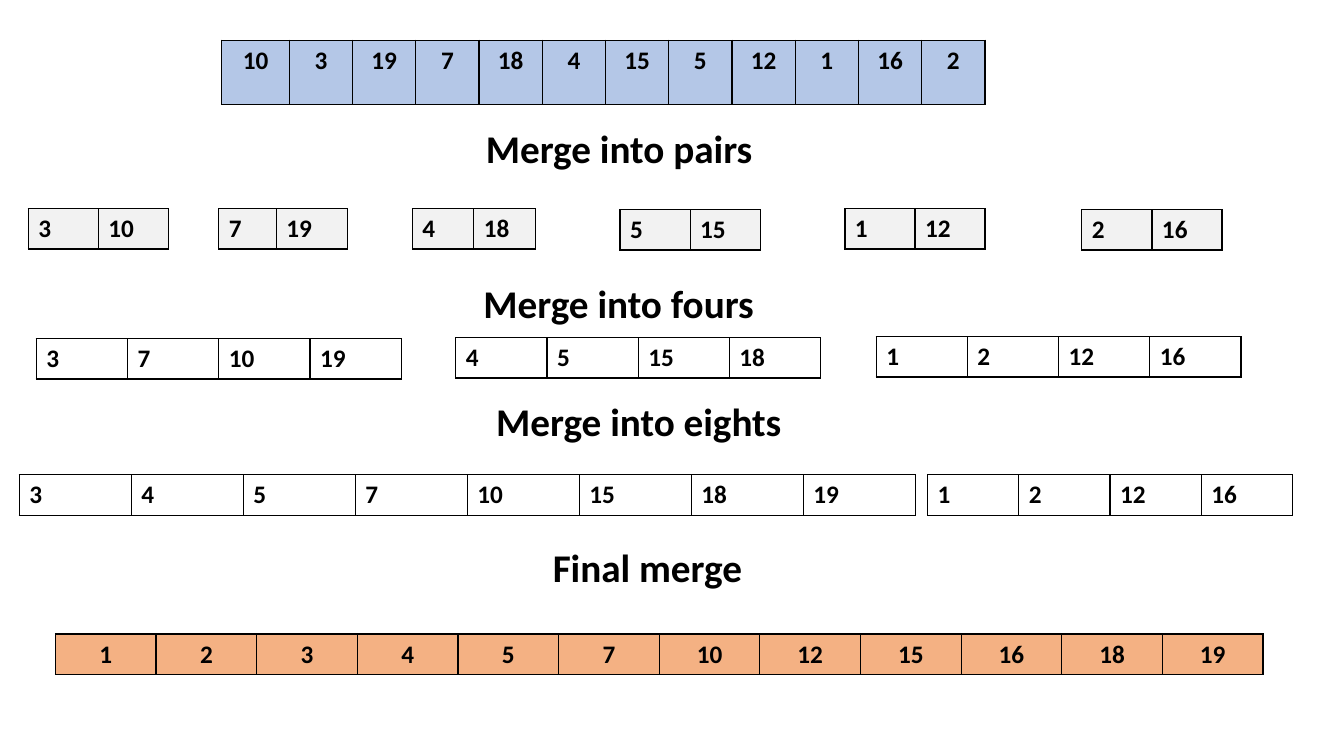
import pptx
import pptx.dml.color
import pptx.enum.text
import pptx.oxml
import pptx.oxml.ns
import pptx.util
from pptx.util import Inches

COLORS = {"text": "000000", "border": "000000", "input": "B4C7E7",
          "pair": "F2F2F2", "run": "FFFFFF", "sorted": "F4B183"}
FONT = "Calibri"
CENTER = pptx.enum.text.PP_ALIGN.CENTER
LEFT = pptx.enum.text.PP_ALIGN.LEFT

NUMBERS = [10, 3, 19, 7, 18, 4, 15, 5, 12, 1, 16, 2]
ROW_HEIGHT = 0.4

# Each box is left, top, width, height; the last item is the first column's width.
PAIR_BOXES = [((0.28, 2.07, 1.39, ROW_HEIGHT), None),
              ((2.17, 2.07, 1.28, ROW_HEIGHT), 0.57),
              ((4.09, 2.07, 1.22, ROW_HEIGHT), None),
              ((6.15, 2.08, 1.39, ROW_HEIGHT), None),
              ((8.38, 2.07, 1.39, ROW_HEIGHT), None),
              ((10.73, 2.08, 1.39, ROW_HEIGHT), None)]
FOUR_BOXES = [((0.36, 3.36, 3.62, ROW_HEIGHT), None),
              ((4.52, 3.35, 3.62, ROW_HEIGHT), None),
              ((8.69, 3.34, 3.62, ROW_HEIGHT), None)]
EIGHT_BOXES = [((0.19, 4.71, 8.89, ROW_HEIGHT), None),
               ((9.2, 4.71, 3.62, ROW_HEIGHT), None)]
HEADINGS = [("Merge into pairs", (1.42, 1.18, 9.44, 0.57)),
            ("Merge into fours", (1.79, 2.72, 8.69, 0.57)),
            ("Merge into eights", (1.99, 3.89, 8.69, 0.57)),
            ("Final merge ", (3.16, 5.34, 6.61, 0.57))]


def rgb(name):
    return pptx.dml.color.RGBColor.from_string(COLORS[name])


def write(tf, text, size, align):
    tf.text = text
    p = tf.paragraphs[0]
    p.alignment = align
    font = p.runs[0].font
    font.name = FONT
    font.size = pptx.util.Pt(size)
    font.bold = True
    font.color.rgb = rgb("text")


def add_borders(cell):
    tcPr = cell._tc.get_or_add_tcPr()
    for side in ("lnL", "lnR", "lnT", "lnB"):
        tcPr.append(pptx.oxml.parse_xml(
            f'<a:{side} {pptx.oxml.ns.nsdecls("a")} w="{pptx.util.Pt(1)}">'
            f'<a:solidFill><a:srgbClr val="{COLORS["border"]}"/></a:solidFill>'
            f'</a:{side}>'))


def add_array(s, box, values, fill, align=LEFT, first_width=None):
    """Draw values as a one-row table with equal columns after the first."""
    width = box[2]
    first = first_width or width / len(values)
    other = (width - first) / (len(values) - 1)
    table = s.shapes.add_table(1, len(values), *map(Inches, box)).table
    table.first_row = False
    table.horz_banding = False
    for i, value in enumerate(values):
        table.columns[i].width = Inches(other if i else first)
        cell = table.cell(0, i)
        write(cell.text_frame, str(value), 18, align)
        add_borders(cell)
        cell.fill.solid()
        cell.fill.fore_color.rgb = rgb(fill)


def add_merge_level(s, boxes, size, fill):
    """Draw the sorted runs of the given size, one in each box."""
    for i, (box, first_width) in enumerate(boxes):
        values = sorted(NUMBERS[i * size:(i + 1) * size])
        add_array(s, box, values, fill, first_width=first_width)


def add_heading(s, text, box):
    tf = s.shapes.add_textbox(*map(Inches, box)).text_frame
    tf.word_wrap = True
    write(tf, text, 28, CENTER)


def main():
    prs = pptx.Presentation()
    prs.slide_width = Inches(13.33)
    prs.slide_height = Inches(7.5)
    s = prs.slides.add_slide(prs.slide_layouts[6])

    add_array(s, (2.2, 0.4, 7.57, 0.64), NUMBERS, "input", CENTER, 0.67)
    for text, box in HEADINGS:
        add_heading(s, text, box)
    add_merge_level(s, PAIR_BOXES, 2, "pair")
    add_merge_level(s, FOUR_BOXES, 4, "run")
    add_merge_level(s, EIGHT_BOXES, 8, "run")
    add_array(s, (0.55, 6.29, 11.98, ROW_HEIGHT), sorted(NUMBERS), "sorted", CENTER)

    prs.save("out.pptx")


if __name__ == "__main__":
    main()
